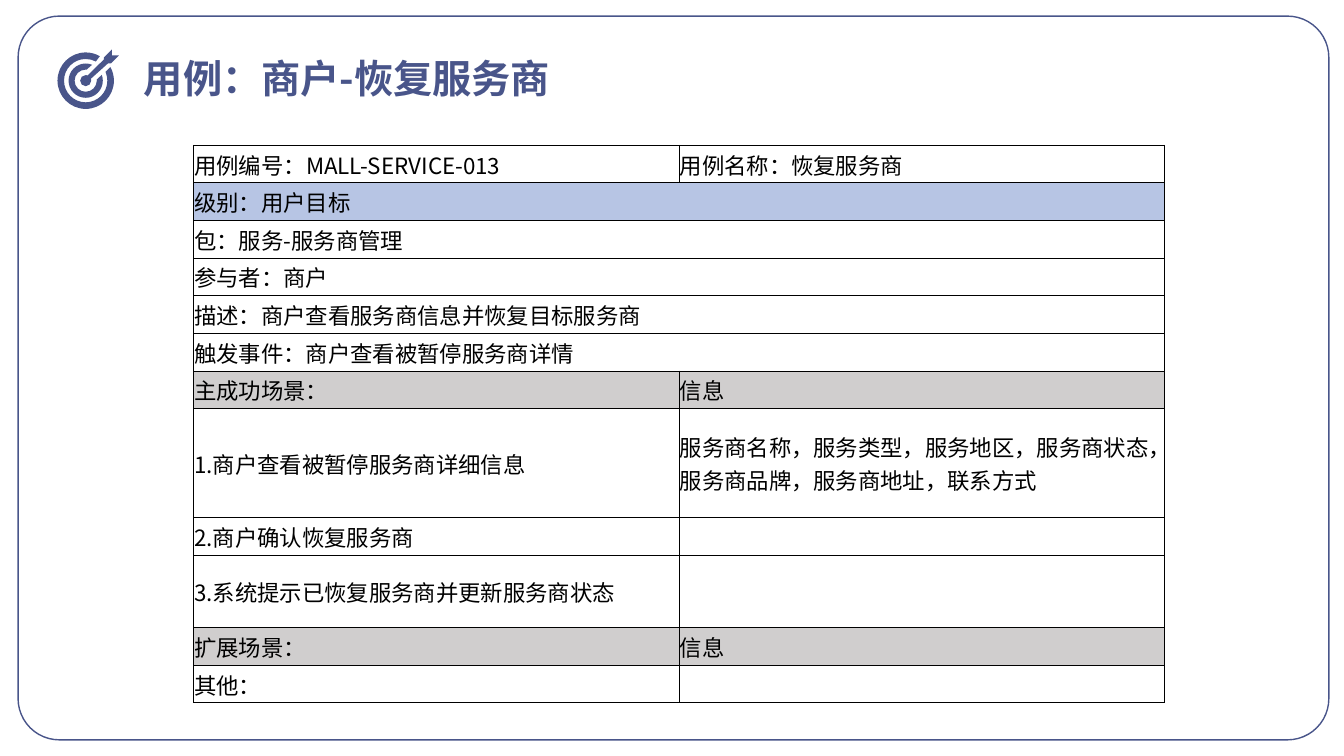
from math import cos, radians, sin, tan

from lxml import etree
from pptx import Presentation
from pptx.dml.color import RGBColor
from pptx.enum.shapes import MSO_SHAPE
from pptx.enum.text import MSO_ANCHOR
from pptx.oxml.ns import qn
from pptx.util import Inches, Pt

ROUNDED = MSO_SHAPE.ROUNDED_RECTANGLE
MIDDLE = MSO_ANCHOR.MIDDLE


class Theme:
    font = "Noto Sans CJK SC"
    indigo = "49558A"
    white = "FFFFFF"
    black = "000000"
    level = "B7C5E4"
    heading = "D0CECE"
    title_size = 28
    title_pitch = 33.6
    body_size = 16
    border = 0.5
    cell_margin = 0.5


TITLE = "用例：商户-恢复服务商"
LINE, TALL, TALLEST = 0.3735, 0.72, 1.08

# Row height, row fill, texts; a single text spans both columns
USE_CASE = [
    (LINE, None, ["用例编号：MALL-SERVICE-013", "用例名称：恢复服务商"]),
    (LINE, Theme.level, ["级别：用户目标"]),
    (LINE, None, ["包：服务-服务商管理"]),
    (LINE, None, ["参与者：商户"]),
    (LINE, None, ["描述：商户查看服务商信息并恢复目标服务商"]),
    (LINE, None, ["触发事件：商户查看被暂停服务商详情"]),
    (LINE, Theme.heading, ["主成功场景：", "信息"]),
    (TALLEST, None, ["1.商户查看被暂停服务商详细信息",
                     "服务商名称，服务类型，服务地区，服务商状态，"
                     "服务商品牌，服务商地址，联系方式"]),
    (LINE, None, ["2.商户确认恢复服务商", ""]),
    (TALL, None, ["3.系统提示已恢复服务商并更新服务商状态", ""]),
    (LINE, Theme.heading, ["扩展场景：", "信息"]),
    (LINE, None, ["其他：", ""]),
]
TABLE_LEFT, TABLE_TOP, COLUMN = 1.92, 1.44, 4.815

TARGET_CENTRE = (0.85, 0.8)
# Outer radius with its start and end angles, then the same for the inner edge
TARGET_RINGS = [
    (0.28, -29, 300, 0.215, 298, -24),
    (0.17, -20, 292, 0.11, 275, -5),
]
BULLSEYE = (0.055, -20, 290)
ARROW_HEAD = [(1.03, 0.59), (1.03, 0.57), (1.11, 0.49), (1.11, 0.55),
              (1.18, 0.55), (1.1, 0.63), (1.07, 0.63)]


def rgb(value):
    return RGBColor.from_string(value)


def write(frame, text, size, color, bold=False, pitch=None):
    frame.word_wrap = True
    paragraph = frame.paragraphs[0]
    if pitch:
        paragraph.line_spacing = Pt(pitch)
    if not text:
        paragraph._p.get_or_add_endParaRPr().set("sz", str(size * 100))
        return
    run = paragraph.add_run()
    run.text = text
    font = run.font
    font.size, font.bold, font.name = Pt(size), bold, Theme.font
    font.color.rgb = rgb(color)
    etree.SubElement(font._element, qn("a:ea"), typeface=Theme.font)


def add_borders(cell):
    properties = cell._tc.get_or_add_tcPr()
    for place, side in enumerate(("lnL", "lnR", "lnT", "lnB")):
        line = etree.Element(qn("a:" + side), w=str(Pt(Theme.border)))
        fill = etree.SubElement(line, qn("a:solidFill"))
        etree.SubElement(fill, qn("a:srgbClr"), val=Theme.black)
        properties.insert(place, line)


def add_frame(slide):
    card = slide.shapes.add_shape(ROUNDED, Inches(0.18), Inches(0.16), Inches(13), Inches(7.18))
    card.adjustments[0] = 0.057
    card.shadow.inherit = False
    card.fill.solid()
    card.fill.fore_color.rgb = rgb(Theme.white)
    card.line.color.rgb = rgb(Theme.indigo)
    card.line.width = Pt(1)


def add_title(slide):
    title = slide.shapes.add_textbox(Inches(1.33), Inches(0.49), Inches(4.26), Inches(0.57))
    write(title.text_frame, TITLE, Theme.title_size, Theme.indigo, bold=True,
          pitch=Theme.title_pitch)


def arc(radius, start, end):
    """Start point and Bezier triples around the target, split at quarter turns."""
    def at(angle, along=0):
        x, y = TARGET_CENTRE
        c, s = cos(radians(angle)), sin(radians(angle))
        return x + radius * (c - along * s), y + radius * (s + along * c)

    low, high = sorted((start, end))
    stops = [low, *(a for a in range(-90, 361, 90) if low < a < high), high]
    if start > end:
        stops.reverse()
    curves = []
    for a, b in zip(stops, stops[1:]):
        pull = 4 / 3 * tan(radians(b - a) / 4)
        curves.append([at(a, pull), at(b, -pull), at(b)])
    return at(start), curves


def add_target(slide):
    outlines = []
    for ring in TARGET_RINGS:
        start, outer = arc(*ring[:3])
        turn, inner = arc(*ring[3:])
        outlines.append((start, outer + [[turn]] + inner))
    start, dot = arc(*BULLSEYE)
    outlines.append((start, dot + [[point] for point in ARROW_HEAD]))

    def emu(point):
        return Inches(point[0]), Inches(point[1])

    builder = slide.shapes.build_freeform(*emu(outlines[0][0]))
    for number, (start, segments) in enumerate(outlines):
        if number:
            builder.move_to(*emu(start))
        builder.add_line_segments([emu(p) for segment in segments for p in segment], close=True)
    target = builder.convert_to_shape()
    target.shadow.inherit = False
    target.fill.solid()
    target.fill.fore_color.rgb = rgb(Theme.indigo)
    target.line.fill.background()

    steps = target._element.iter(qn("a:lnTo"))
    steps = iter(list(steps))
    for _, segments in outlines:
        for segment in segments:
            group = [next(steps) for _ in segment]
            if len(group) == 3:
                curve = etree.Element(qn("a:cubicBezTo"))
                group[0].addprevious(curve)
                for step in group:
                    curve.append(step[0])
                    step.getparent().remove(step)


def add_use_case(slide):
    height = sum(row[0] for row in USE_CASE)
    table = slide.shapes.add_table(len(USE_CASE), 2, Inches(TABLE_LEFT), Inches(TABLE_TOP),
                                   Inches(2 * COLUMN), Inches(height)).table
    table.first_row = table.horz_banding = False
    for column in table.columns:
        column.width = Inches(COLUMN)
    for r, (row_height, fill, texts) in enumerate(USE_CASE):
        table.rows[r].height = Inches(row_height)
        if len(texts) == 1:
            table.cell(r, 0).merge(table.cell(r, 1))
        for c in range(2):
            cell = table.cell(r, c)
            cell.vertical_anchor = MIDDLE
            cell.margin_left = cell.margin_top = cell.margin_right = Pt(Theme.cell_margin)
            cell.margin_bottom = 0
            if fill:
                cell.fill.solid()
                cell.fill.fore_color.rgb = rgb(fill)
            else:
                cell.fill.background()
            add_borders(cell)
            write(cell.text_frame, texts[c] if c < len(texts) else "",
                  Theme.body_size, Theme.black)


def main():
    deck = Presentation()
    deck.slide_width, deck.slide_height = Inches(13.33), Inches(7.5)
    slide = deck.slides.add_slide(deck.slide_layouts[6])
    add_frame(slide)
    add_title(slide)
    add_target(slide)
    add_use_case(slide)
    deck.save("out.pptx")


if __name__ == "__main__":
    main()
